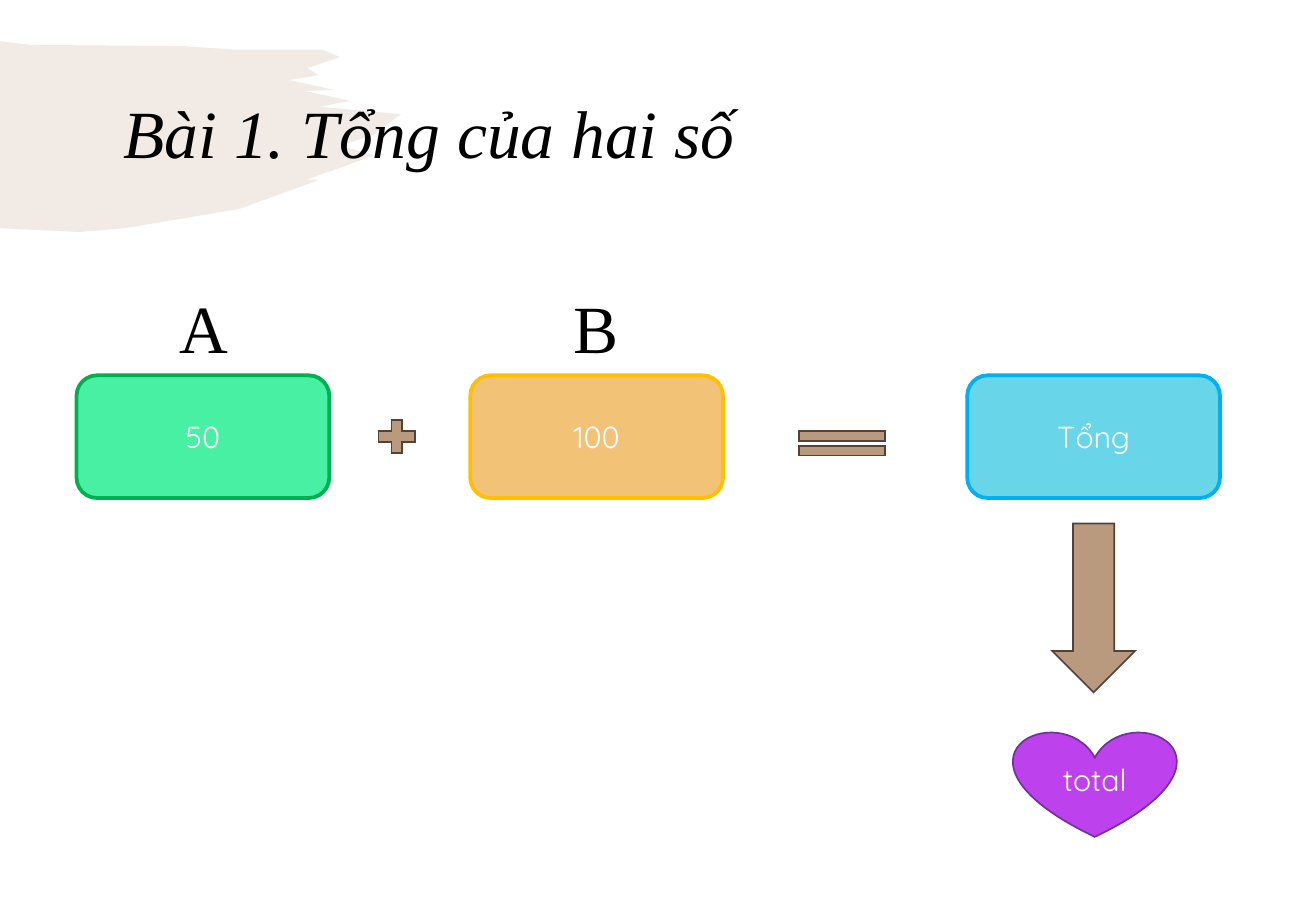
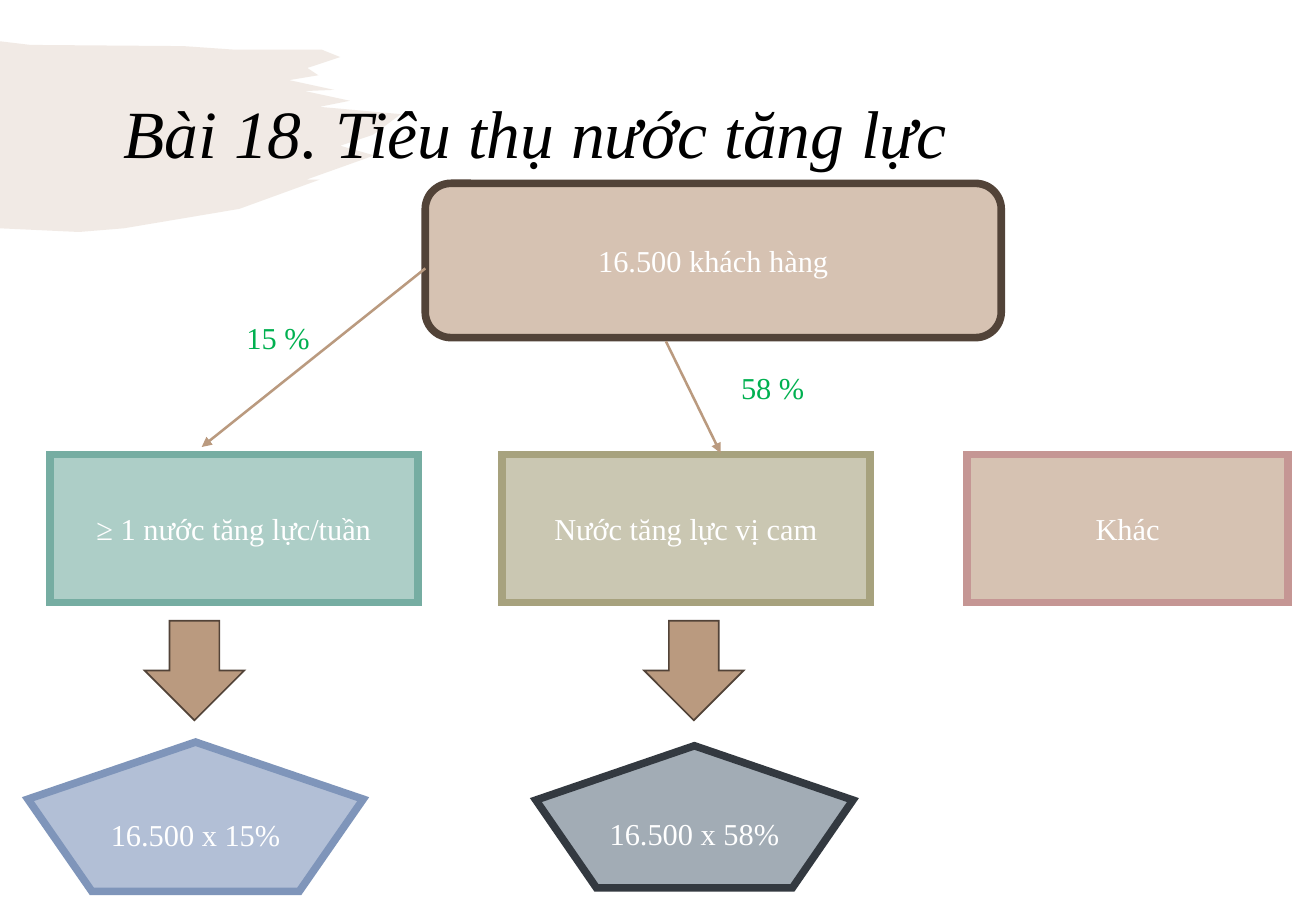
from dataclasses import dataclass
from lxml import etree
from pptx import Presentation
from pptx import slide as sl
from pptx.dml.color import RGBColor
from pptx.enum import shapes, text
from pptx.oxml.ns import qn
from pptx.util import Emu, Pt

PX = 9144
Kind = shapes.MSO_SHAPE
Box = tuple[int, int, int, int]


@dataclass(frozen=True)
class Theme:
    serif: str = "Times New Roman"
    sans: str = "Quicksand"
    title_size: int = 40
    body_size: int = 18
    ink: str = "000000"
    paper: str = "FFFFFF"
    tan: str = "BA9A7F"
    brown: str = "524338"
    sand: str = "D6C2B2"
    green: str = "00B050"
    thin: float = 1
    arrow: float = 1.5
    medium: float = 2.25
    thick: float = 4.5
    brush_alpha: int = 20000


T = Theme()


@dataclass(frozen=True)
class Node:
    at: Box
    kind: Kind
    text: str = ""
    fill: str = T.tan
    line: str = T.brown
    weight: float = T.thin
    font: str = T.serif


@dataclass(frozen=True)
class Label:
    at: Box
    text: str
    color: str = T.ink
    size: int = T.title_size
    italic: bool = False
    anchor: text.MSO_ANCHOR = text.MSO_ANCHOR.TOP
    spacing: float = 1.0


@dataclass(frozen=True)
class Arrow:
    start: tuple[int, int]
    end: tuple[int, int]


@dataclass(frozen=True)
class Page:
    title: str
    nodes: list[Node]
    labels: list[Label]
    arrows: list[Arrow]


BRUSH = (
    (0, 34), (25, 37), (151, 38), (194, 41), (265, 41), (280, 47),
    (253, 56), (262, 62), (238, 66), (275, 74), (251, 75), (288, 83),
    (263, 88), (330, 94), (307, 111), (280, 120), (308, 128),
    (252, 148), (263, 148), (197, 172), (102, 188), (65, 191), (0, 188),
)


def px(value: int) -> Emu:
    return Emu(value * PX)


def rgb(value: str) -> RGBColor:
    return RGBColor.from_string(value)


def draw_brush(s: sl.Slide) -> None:
    first, *rest = BRUSH
    builder = s.shapes.build_freeform(*first, scale=PX)
    builder.add_line_segments(rest, close=True)
    sp = builder.convert_to_shape()
    sp.shadow.inherit = False
    sp.line.fill.background()
    sp.fill.solid()
    sp.fill.fore_color.rgb = rgb(T.tan)
    color = sp.element.spPr.find(qn("a:solidFill")).find(qn("a:srgbClr"))
    etree.SubElement(color, qn("a:alpha"), val=str(T.brush_alpha))


def add_run(p, content: str, font: str, size: int, color: str, italic: bool = False) -> None:
    r = p.add_run()
    r.text = content
    r.font.name = font
    r.font.size = Pt(size)
    r.font.color.rgb = rgb(color)
    r.font.italic = italic


def draw_node(s: sl.Slide, node: Node) -> None:
    sp = s.shapes.add_shape(node.kind, *map(px, node.at))
    sp.shadow.inherit = False
    sp.fill.solid()
    sp.fill.fore_color.rgb = rgb(node.fill)
    sp.line.color.rgb = rgb(node.line)
    sp.line.width = Pt(node.weight)
    etree.SubElement(sp.element.spPr.find(qn("a:ln")), qn("a:miter"), lim="800000")
    if node.text:
        tf = sp.text_frame
        tf.word_wrap = True
        tf.vertical_anchor = text.MSO_ANCHOR.MIDDLE
        p = tf.paragraphs[0]
        p.alignment = text.PP_ALIGN.CENTER
        add_run(p, node.text, node.font, T.body_size, T.paper)


def draw_label(s: sl.Slide, label: Label) -> None:
    tf = s.shapes.add_textbox(*map(px, label.at)).text_frame
    tf.word_wrap = True
    tf.vertical_anchor = label.anchor
    p = tf.paragraphs[0]
    p.line_spacing = label.spacing
    add_run(p, label.text, T.serif, label.size, label.color, label.italic)


def draw_arrow(s: sl.Slide, arrow: Arrow) -> None:
    line = s.shapes.add_connector(shapes.MSO_CONNECTOR.STRAIGHT,
                                  *map(px, arrow.start + arrow.end))
    line.line.color.rgb = rgb(T.tan)
    line.line.width = Pt(T.arrow)
    spPr = line.element.spPr
    etree.SubElement(spPr.find(qn("a:ln")), qn("a:tailEnd"), type="triangle")
    etree.SubElement(spPr, qn("a:effectLst"))


def draw_page(prs, page: Page) -> None:
    s = prs.slides.add_slide(prs.slide_layouts[6])
    draw_brush(s)
    draw_label(s, Label((92, 40, 1150, 145), page.title, italic=True,
                        anchor=text.MSO_ANCHOR.MIDDLE, spacing=0.9))
    for node in page.nodes:
        draw_node(s, node)
    for arrow in page.arrows:
        draw_arrow(s, arrow)
    for label in page.labels:
        draw_label(s, label)


def term(left: int, content: str, fill: str, line: str) -> Node:
    return Node((left, 309, 208, 101), Kind.ROUNDED_RECTANGLE, content,
                fill, line, T.medium, T.sans)


def letter(box_left: int, content: str) -> Label:
    return Label((box_left + 75, 231, 151, 77), content)


def group(left: int, width: int, content: str, fill: str, line: str) -> Node:
    return Node((left, 374, width, 122), Kind.RECTANGLE, content, fill, line, T.thick)


def result(at: Box, content: str, fill: str, line: str) -> Node:
    return Node(at, Kind.REGULAR_PENTAGON, content, fill, line, T.thick)


def share(left: int, top: int, content: str) -> Label:
    return Label((left, top, 80, 40), content, T.green, T.body_size)


A_LEFT, B_LEFT, RIGHT_LEFT = 63, 387, 796

SUM_PAGE = Page(
    "Bài 1. Tổng của hai số",
    [
        term(A_LEFT, "50", "48F0A4", T.green),
        term(B_LEFT, "100", "F2C377", "FFC000"),
        term(RIGHT_LEFT, "Tổng", "68D5E8", "00B0F0"),
        Node((306, 341, 41, 37), Kind.MATH_PLUS),
        Node((645, 348, 96, 34), Kind.MATH_EQUAL),
        Node((866, 431, 68, 139), Kind.DOWN_ARROW),
        Node((834, 602, 134, 87), Kind.HEART, "total", "BD42ED", "7030A0", font=T.sans),
    ],
    [letter(A_LEFT, "A"), letter(B_LEFT, "B")],
    [],
)

DRINK_PAGE = Page(
    "Bài 18. Tiêu thụ nước tăng lực",
    [
        Node((350, 151, 474, 127), Kind.ROUNDED_RECTANGLE, "16.500 khách hàng",
             T.sand, T.brown, T.thick),
        group(41, 303, "≥ 1 nước tăng lực/tuần", "ADCEC7", "76ADA2"),
        group(413, 303, "Nước tăng lực vị cam", "CAC7B2", "A7A27E"),
        group(RIGHT_LEFT, 264, "Khác", T.sand, "C59694"),
        *(Node((left, 511, 82, 82), Kind.DOWN_ARROW) for left in (119, 530)),
        result((23, 611, 276, 123), "16.500 x 15%", "B2BFD6", "7F95BA"),
        result((441, 614, 261, 117), "16.500 x 58%", "A2ACB5", "333940"),
    ],
    [share(193, 258, "15 %"), share(600, 299, "58 %")],
    [Arrow((350, 221), (166, 368)), Arrow((548, 281), (593, 373))],
)


def main() -> None:
    prs = Presentation()
    prs.slide_width, prs.slide_height = px(1083), px(750)
    for page in (SUM_PAGE, DRINK_PAGE):
        draw_page(prs, page)
    prs.save("out.pptx")


if __name__ == "__main__":
    main()
